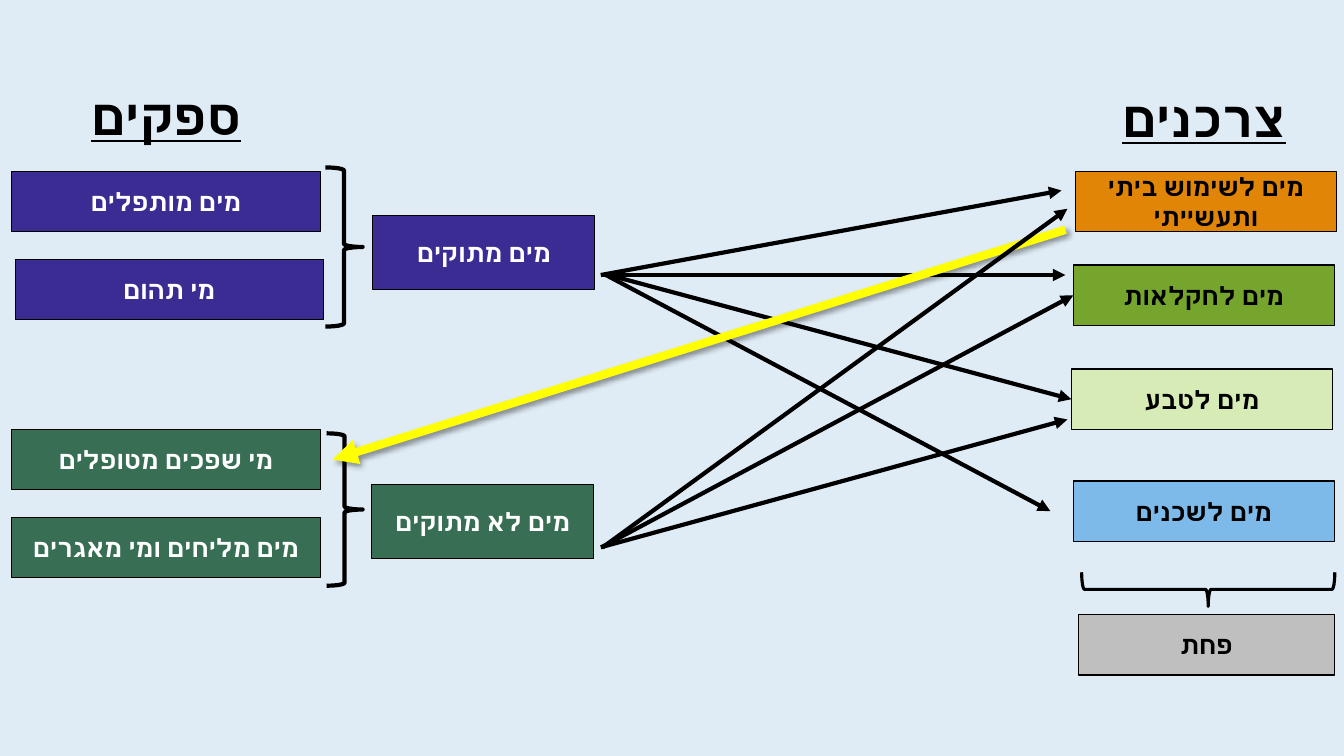
"""Build a slide that links water suppliers to water consumers."""
import lxml.etree
import pptx
import pptx.dml.color
import pptx.enum.shapes
import pptx.enum.text
import pptx.oxml.ns
import pptx.util

Cm = pptx.util.Cm
Pt = pptx.util.Pt
RGBColor = pptx.dml.color.RGBColor
SHAPE = pptx.enum.shapes.MSO_SHAPE
qn = pptx.oxml.ns.qn

SKY = RGBColor(0xE0, 0xEC, 0xF5)
BLACK = RGBColor(0x00, 0x00, 0x00)
WHITE = RGBColor(0xFF, 0xFF, 0xFF)
ORANGE = RGBColor(0xE1, 0x85, 0x06)
GREEN = RGBColor(0x76, 0xA5, 0x2E)
LIME = RGBColor(0xD7, 0xEB, 0xB7)
BLUE = RGBColor(0x7D, 0xBA, 0xE9)
GREY = RGBColor(0xBF, 0xBF, 0xBF)
PURPLE = RGBColor(0x3B, 0x2C, 0x94)
FOREST = RGBColor(0x38, 0x6F, 0x54)
YELLOW = RGBColor(0xFF, 0xFF, 0x00)

deck = pptx.Presentation()
deck.slide_width = Cm(33.87)
deck.slide_height = Cm(19.05)
slide = deck.slides.add_slide(deck.slide_layouts[6])
slide.background.fill.solid()
slide.background.fill.fore_color.rgb = SKY


def write(shape, text, color, style):
    """Put one centred right-to-left line of text in a shape."""
    shape.text_frame.word_wrap = True
    par = shape.text_frame.paragraphs[0]
    par.alignment = pptx.enum.text.PP_ALIGN.CENTER
    par._p.get_or_add_pPr().set("rtl", "1")
    run = par.add_run()
    run.text = text
    run.font.color.rgb = color
    for key, value in style.items():
        setattr(run.font, key, value)
    props = run._r.get_or_add_rPr()
    lxml.etree.SubElement(props, qn("a:cs"), typeface=style["name"])


def link(start, end, color, width):
    """Draw an arrow and return it with its empty effect list."""
    line = slide.shapes.add_connector(
        pptx.enum.shapes.MSO_CONNECTOR.STRAIGHT,
        *[Cm(value) for value in start + end])
    line.line.color.rgb = color
    line.line.width = Pt(width)
    props = line._element.spPr
    lxml.etree.SubElement(props.get_or_add_ln(), qn("a:tailEnd"), type="triangle")
    return line, lxml.etree.SubElement(props, qn("a:effectLst"))


LABEL = {"name": "Roboto", "size": Pt(18), "bold": True}
TITLE = {"name": "Cabin", "size": Pt(36), "bold": True, "underline": True}

USER = (6.58, 1.52)
SOURCE = (7.77, 1.52)
HUB = (5.59, 1.85)
boxes = {}
for text, left, top, size, fill, color, width in [
    ("מים לשימוש ביתי ותעשייתי", 27.1, 4.32, USER, ORANGE, BLACK, 0.75),
    ("מים לחקלאות", 27.05, 6.68, USER, GREEN, BLACK, 1),
    ("מים לטבע", 27, 9.3, USER, LIME, BLACK, 1),
    ("מים לשכנים", 27.05, 12.12, USER, BLUE, BLACK, 1),
    ("פחת", 27.18, 15.49, (6.45, 1.52), GREY, BLACK, 1),
    ("מים מותפלים", 0.3, 4.32, SOURCE, PURPLE, WHITE, 0.75),
    ("מי תהום", 0.38, 6.53, SOURCE, PURPLE, WHITE, 0.75),
    ("מי שפכים מטופלים", 0.3, 10.82, SOURCE, FOREST, WHITE, 0.75),
    ("מים מליחים ומי מאגרים", 0.3, 13.03, SOURCE, FOREST, WHITE, 0.75),
    ("מים מתוקים", 9.4, 5.44, HUB, PURPLE, WHITE, 0.75),
    ("מים לא מתוקים", 9.37, 12.22, HUB, FOREST, WHITE, 0.75),
]:
    box = slide.shapes.add_shape(
        SHAPE.RECTANGLE, Cm(left), Cm(top), Cm(size[0]), Cm(size[1]))
    box.shadow.inherit = False
    box.fill.solid()
    box.fill.fore_color.rgb = fill
    box.line.color.rgb = BLACK
    box.line.width = Pt(width)
    box.text_frame.vertical_anchor = pptx.enum.text.MSO_ANCHOR.MIDDLE
    write(box, text, color, LABEL)
    boxes[text] = box

for text, left, top in [("צרכנים", 26.59, 2.08), ("ספקים", 0.43, 2.03)]:
    head = slide.shapes.add_textbox(Cm(left), Cm(top), Cm(7.52), Cm(1.8))
    head.text_frame.auto_size = pptx.enum.text.MSO_AUTO_SIZE.SHAPE_TO_FIT_TEXT
    write(head, text, BLACK, TITLE)

for kind, left, top, wide, high, turn, width in [
    (SHAPE.RIGHT_BRACE, 8.2, 4.22, 0.94, 4.01, 0, 3),
    (SHAPE.RIGHT_BRACE, 8.23, 10.92, 0.91, 3.84, 0, 3),
    (SHAPE.LEFT_BRACE, 30.02, 11.66, 0.86, 6.38, 270, 2.25),
]:
    brace = slide.shapes.add_shape(kind, Cm(left), Cm(top), Cm(wide), Cm(high))
    brace.rotation = turn
    brace.shadow.inherit = False
    brace.fill.background()
    brace.line.color.rgb = BLACK
    brace.line.width = Pt(width)

flow, glow = link((26.85, 5.79), (8.38, 11.58), YELLOW, 6)
shade = lxml.etree.SubElement(
    glow, qn("a:outerShdw"), blurRad=str(Pt(4)), dist=str(Pt(3)),
    dir="2700000", algn="tl", rotWithShape="0")
tint = lxml.etree.SubElement(shade, qn("a:srgbClr"), val=str(BLACK))
lxml.etree.SubElement(tint, qn("a:alpha"), val="40000")

FRESH = 6.93
OTHER = 13.79
for start, end, goal in [
    ((15.14, FRESH), (26.75, 4.8), None),
    ((15.16, FRESH), (26.85, FRESH), None),
    ((15.34, FRESH), (27, 10.06), "מים לטבע"),
    ((15.27, FRESH), (26.47, 12.88), None),
    ((15.19, OTHER), (26.9, 5.26), None),
    ((15.16, OTHER), (27.05, 7.44), "מים לחקלאות"),
    ((15.14, OTHER), (26.9, 10.57), None),
]:
    line, _ = link(start, end, BLACK, 3)
    if start[1] == FRESH:
        flow._element.addprevious(line._element)
    if goal:
        line.end_connect(boxes[goal], 1)

deck.save("out.pptx")
